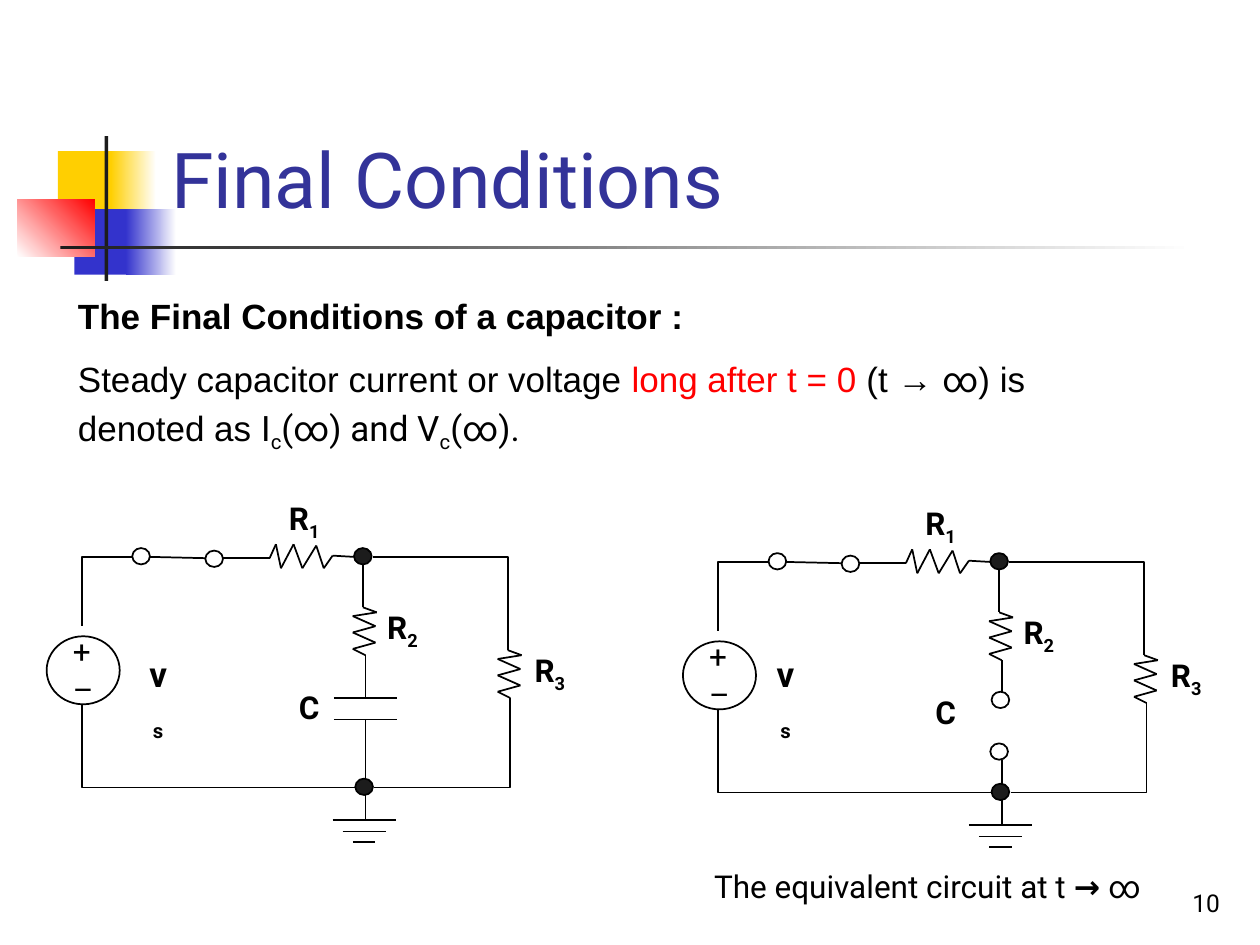
"""Build a slide on the final conditions of a capacitor, with two circuits."""

from dataclasses import dataclass
from itertools import pairwise
from typing import NamedTuple, Optional

from pptx import Presentation
from pptx.dml.color import RGBColor as Rgb
from pptx.enum.shapes import MSO_CONNECTOR as Link, MSO_SHAPE as Preset
from pptx.enum.text import MSO_ANCHOR as Anchor, PP_ALIGN as Align
from pptx.oxml.ns import qn
from pptx.oxml.xmlchemy import OxmlElement
from pptx.util import Inches, Pt


@dataclass(frozen=True)
class Theme:
    black: str = "000000"
    white: str = "FFFFFF"
    ink: str = "1C1C1C"
    yellow: str = "FFCF01"
    blue: str = "3333CC"
    red: str = "FF0000"
    title: str = "333399"
    sans: str = "Roboto"
    body_font: str = "Arial"
    title_size: int = 44
    body_size: int = 20
    label_size: int = 18
    number_size: int = 14
    line_width: int = 1


THEME = Theme()


class Frame(NamedTuple):
    left: float
    top: float
    width: float
    height: float


class Point(NamedTuple):
    x: float
    y: float


class Bar(NamedTuple):
    frame: Frame
    start: str
    end: Optional[str] = None
    angle: int = 0


class Span(NamedTuple):
    text: str
    color: Optional[str] = None
    bold: Optional[bool] = None
    font: Optional[str] = None
    subscript: bool = False


@dataclass(frozen=True)
class Style:
    size: int = THEME.label_size
    font: str = THEME.sans
    color: str = THEME.black
    bold: bool = False
    align: Align = Align.CENTER
    anchor: Anchor = Anchor.TOP
    wrap: bool = True
    top_inset: float = 0.05
    line_spacing: float = 1.0
    gaps: tuple[int, ...] = ()


LABEL = Style(bold=True, wrap=False)

BARS = (
    Bar(Frame(0.46, 1.2, 0.48, 0.52), THEME.yellow),
    Bar(Frame(0.88, 1.2, 0.36, 0.52), THEME.yellow, THEME.white),
    Bar(Frame(0.59, 1.66, 0.46, 0.52), THEME.blue),
    Bar(Frame(1, 1.66, 0.4, 0.52), THEME.blue, THEME.white),
    Bar(Frame(0.14, 1.58, 0.61, 0.46), THEME.white, THEME.red, 45),
    Bar(Frame(0.83, 1.08, 0.03, 1.15), THEME.ink),
    Bar(Frame(0.48, 1.95, 9, 0.03), THEME.ink, THEME.white),
)

BODY = (
    (Span("The Final Conditions of a capacitor :", bold=True),),
    (Span("Steady capacitor current or voltage "), Span("long after t = 0 ", THEME.red),
     Span("(t "), Span("→ ", bold=True), Span("∞", font=THEME.sans), Span(") is")),
    (Span("denoted as "), Span("I", font=THEME.sans),
     Span("c", font=THEME.sans, subscript=True), Span("(∞) and V", font=THEME.sans),
     Span("c", font=THEME.sans, subscript=True), Span("(∞).", font=THEME.sans)),
)

FLAT_ZIGZAG = ((0, 0), (0.05, -0.11), (0.09, 0.08), (0.19, -0.11), (0.26, 0.08),
               (0.37, -0.1), (0.43, 0.08), (0.5, -0.02), (0.67, -0.01))
UPRIGHT_ZIGZAG = ((0, 0), (0.11, 0.04), (-0.08, 0.07), (0.1, 0.15), (-0.08, 0.2),
                  (0.1, 0.28), (-0.08, 0.33), (0.02, 0.38))
GROUND_BARS = ((2.64, 3.14, 6.51), (2.72, 3.06, 6.6), (2.8, 2.98, 6.68))
CORNERS = (
    (Point(2.82, 6.25), Point(0.65, 5.59)), (Point(1.05, 4.42), Point(0.65, 4.97)),
    (Point(2.96, 4.42), Point(4.03, 5.16)), (Point(2.97, 6.25), Point(4.05, 5.54)),
)
LABELS = (("R", "1", Point(2.18, 3.91)), ("R", "2", Point(2.96, 4.78)),
          ("R", "3", Point(4.13, 5.12)), ("C", "", Point(2.22, 5.41)))


def add_text(page, frame: Frame, paragraphs, style: Style) -> None:
    """Add a text box whose paragraphs are tuples of spans."""
    text = page.shapes.add_textbox(*map(Inches, frame)).text_frame
    text.word_wrap, text.vertical_anchor = style.wrap, style.anchor
    text.margin_top = Inches(style.top_inset)
    for index, spans in enumerate(paragraphs):
        para = text.add_paragraph() if index else text.paragraphs[0]
        para.alignment, para.line_spacing = style.align, style.line_spacing
        if index and style.gaps:
            para.space_before = Pt(style.gaps[index - 1])
        para.font.size, para.font.name = Pt(style.size), style.font
        para.font.bold = style.bold
        para.font.color.rgb = Rgb.from_string(style.color)
        for span in spans:
            run = para.add_run()
            run.text = span.text
            if span.color:
                run.font.color.rgb = Rgb.from_string(span.color)
            if span.bold is not None:
                run.font.bold = span.bold
            if span.font:
                run.font.name = span.font
            if span.subscript:
                run._r.get_or_add_rPr().set("baseline", "-25000")


def add_bar(page, bar: Bar) -> None:
    """Add a borderless rectangle with a solid or gradient fill."""
    box = page.shapes.add_shape(Preset.RECTANGLE, *map(Inches, bar.frame))
    box.shadow.inherit = False
    box.line.fill.background()
    if bar.end is None:
        box.fill.solid()
        box.fill.fore_color.rgb = Rgb.from_string(bar.start)
        return
    box.fill.gradient()
    box.fill.gradient_angle = bar.angle
    for stop, color, position in zip(box.fill.gradient_stops, (bar.start, bar.end), (0, 1)):
        stop.color.rgb, stop.position = Rgb.from_string(color), position


@dataclass(frozen=True)
class Circuit:
    page: object
    dx: float
    dy: float
    is_open: bool

    def wire(self, start: Point, end: Point, corner: bool = False) -> None:
        """Draw a straight wire, or one running level and then upright."""
        ends = (start[0] + self.dx, start[1] + self.dy, end[0] + self.dx, end[1] + self.dy)
        kind = Link.ELBOW if corner else Link.STRAIGHT
        link = self.page.shapes.add_connector(kind, *map(Inches, ends))
        link.line.color.rgb = Rgb.from_string(THEME.black)
        link.line.width = Pt(THEME.line_width)
        properties = link.element.spPr
        if corner:
            properties.find(qn("a:prstGeom")).set("prst", "bentConnector2")
        properties.append(OxmlElement("a:effectLst"))

    def resistor(self, origin: Point, zigzag) -> None:
        """Draw a zigzag from the origin."""
        points = [Point(origin.x + x, origin.y + y) for x, y in zigzag]
        for start, end in pairwise(points):
            self.wire(start, end)

    def circle(self, corner: Point, color: Optional[str], width=0.14, height=0.13) -> None:
        """Draw a node, a terminal or the source outline."""
        frame = Frame(corner.x + self.dx, corner.y + self.dy, width, height)
        node = self.page.shapes.add_shape(Preset.OVAL, *map(Inches, frame))
        node.shadow.inherit = False
        node.line.color.rgb = Rgb.from_string(THEME.black)
        node.line.width = Pt(THEME.line_width)
        if color:
            node.fill.solid()
            node.fill.fore_color.rgb = Rgb.from_string(color)
        else:
            node.fill.background()

    def draw(self) -> None:
        """Draw the whole circuit."""
        for start, end in CORNERS:
            self.wire(start, end, corner=True)
        self.resistor(Point(2.14, 4.43), FLAT_ZIGZAG)
        self.resistor(Point(2.88, 4.82), UPRIGHT_ZIGZAG)
        self.resistor(Point(4.03, 5.16), UPRIGHT_ZIGZAG)
        for left, right, y in GROUND_BARS:
            self.wire(Point(left, y), Point(right, y))
        upper, lower = (5.45, 5.99) if self.is_open else (5.54, 5.71)
        for start, end in ((Point(2.9, 6.5), Point(2.9, 6.25)),
                           (Point(2.88, 4.48), Point(2.88, 4.82)),
                           (Point(2.9, 5.2), Point(2.9, upper)),
                           (Point(2.9, 6.18), Point(2.9, lower)),
                           (Point(1.19, 4.42), Point(1.63, 4.43)),
                           (Point(1.77, 4.43), Point(2.14, 4.43))):
            self.wire(start, end)
        for corner in (Point(2.81, 4.35), Point(2.82, 6.18)):
            self.circle(corner, THEME.ink)
        terminals = [Point(1.05, 4.35), Point(1.63, 4.37)]
        if self.is_open:
            terminals += [Point(2.82, 5.45), Point(2.81, 5.86)]
        else:
            for y in (upper, lower):
                self.wire(Point(2.65, y), Point(3.15, y))
        for corner in terminals:
            self.circle(corner, THEME.white)
        self.circle(Point(0.37, 5.05), None, 0.58, 0.54)
        for name, index, at in LABELS:
            spans = (Span(name), Span(index, subscript=True)) if index else (Span(name),)
            add_text(self.page, Frame(at.x + self.dx, at.y + self.dy, 0.47, 0.4), (spans,), LABEL)
        add_text(self.page, Frame(0.48 + self.dx, 4.97 + self.dy, 0.34, 0.7),
                 ((Span("+"),), (Span("–"),)), Style(wrap=False))
        add_text(self.page, Frame(6.03 if self.is_open else 1.05, 4.8, 0.41, 1.1),
                 ((Span("v"), Span("s", subscript=True)),),
                 Style(size=THEME.body_size, bold=True, top_inset=0.38))


def main() -> None:
    """Build and save the deck."""
    deck = Presentation()
    deck.slide_width, deck.slide_height = Inches(10), Inches(7.5)
    page = deck.slides.add_slide(deck.slide_layouts[6])
    for bar in BARS:
        add_bar(page, bar)
    add_text(page, Frame(1.26, 0.23, 8.52, 1.6), ((Span("Final Conditions"),),),
             Style(THEME.title_size, color=THEME.title, align=Align.LEFT, anchor=Anchor.BOTTOM))
    add_text(page, Frame(0.52, 2.33, 9.12, 2.43), BODY,
             Style(THEME.body_size, THEME.body_font, align=Align.LEFT,
                   line_spacing=0.9, gaps=(14, 4)))
    add_text(page, Frame(7.7, 6.83, 2.08, 0.5), ((Span("10"),),),
             Style(THEME.number_size, align=Align.RIGHT, anchor=Anchor.BOTTOM))
    Circuit(page, 5.05, 0.04, True).draw()
    Circuit(page, 0, 0, False).draw()
    add_text(page, Frame(5.39, 6.83, 3.94, 0.4),
             ((Span("The equivalent circuit at t "), Span("→ ", bold=True), Span("∞")),), Style())
    deck.save("out.pptx")


if __name__ == "__main__":
    main()
